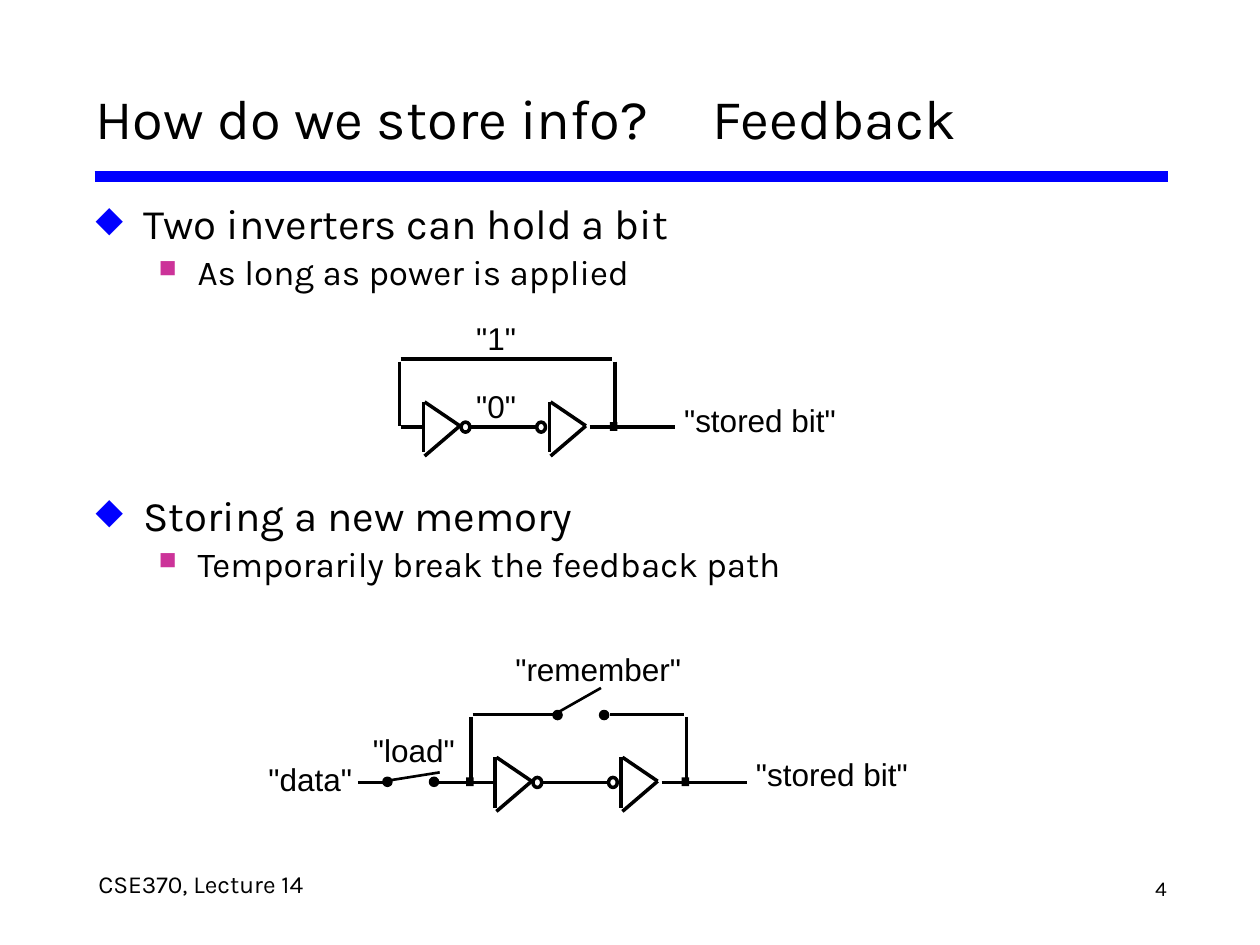
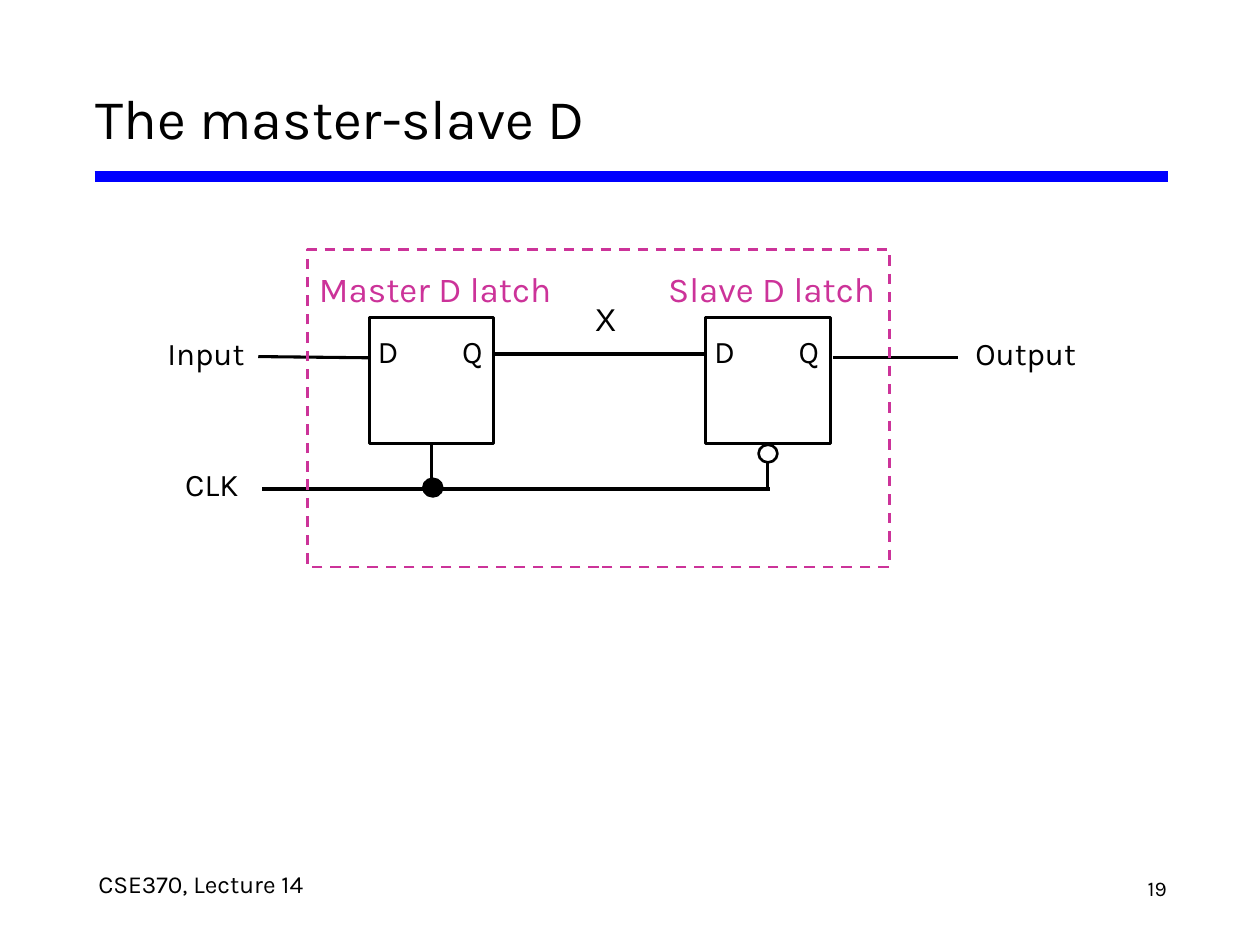
from lxml import etree
from pptx import Presentation
from pptx.dml.color import RGBColor
from pptx.enum.dml import MSO_LINE
from pptx.enum.shapes import MSO_CONNECTOR, MSO_SHAPE
from pptx.enum.text import MSO_ANCHOR, PP_ALIGN
from pptx.oxml.ns import qn
from pptx.util import Inches, Pt

# Content
COLORS = {"ink": "000000", "paper": "FFFFFF", "band": "0000FF", "accent": "CC3399"}
FOOTER = "CSE370, Lecture 14"
STORE_TITLE, STORE_NUMBER = "How do we store info?\tFeedback", "4"
LATCH_TITLE, LATCH_NUMBER = "The master-slave D", "19"

# level, text, space before (pt); the large gap leaves room for the first circuit
POINTS = [
    (0, "Two inverters can hold a bit", 0),
    (1, "As long as power is applied", 0),
    (0, "Storing a new memory", 113),
    (1, "Temporarily break the feedback path", 0),
]
LEVELS = [
    {"size": 24, "margin": 0.38, "hang": 0.38, "char": "◆", "color": "band",
     "scale": 85, "spacing": 1.0},
    {"size": 20, "margin": 0.81, "hang": 0.31, "char": "■", "color": "accent",
     "scale": 70, "spacing": 1.05},
]

# Circuit origins: where the feedback loop leaves the input wire
HOLD_ORIGIN, SWITCHED_ORIGIN = (3.17, 3.39), (3.74, 6.21)
INVERTERS = [(0.19, 0.49), (1.19, 1.09)]  # bar x, bubble x
LOOP_TOP, LOOP_RIGHT = -0.54, 1.71
SHARED_WIRES = [
    (0.01, 0, 0.18, 0), (0.55, 0, 1.08, 0), (1.51, 0, 1.69, 0), (1.72, 0, 2.19, 0),
    (0, LOOP_TOP + 0.02, 0, -0.01), (LOOP_RIGHT, LOOP_TOP + 0.02, LOOP_RIGHT, -0.01),
]
HOLD_WIRES = [(0.01, LOOP_TOP, 1.69, LOOP_TOP)]
SWITCHED_WIRES = [
    (0.01, LOOP_TOP, 0.68, LOOP_TOP), (1.1, LOOP_TOP, 1.69, LOOP_TOP),
    (-0.9, 0, -0.67, 0), (-0.26, 0, -0.01, 0),
]
# contact x, contact y, lever rise, lever reach
SWITCHES = [(-0.7, -0.04, 0.07, 0.44), (0.65, LOOP_TOP - 0.03, 0.21, 0.37)]
SIGNALS = [  # text, left, top, width
    ('"0"', 3.76, 3.05, 0.56), ('"1"', 3.76, 2.51, 0.56),
    ('"stored bit"', 5.41, 3.16, 1.96), ('"remember"', 4.07, 5.14, 1.75),
    ('"load"', 2.94, 5.78, 0.79), ('"data"', 2.11, 6.01, 0.92),
    ('"stored bit"', 5.98, 5.97, 1.96),
]

LATCHES = [("Master D latch", 2.93), ("Slave D latch", 5.6)]
LATCH_TOP, LATCH_WIDTH, LATCH_HEIGHT = 2.52, 0.99, 1
PINS = [("D", 0.06, 0.18), ("Q", 0.72, 0.2)]
CLOCK_Y = 3.88
LATCH_WIRES = [  # x1, y1, x2, y2, width
    (2.05, 2.83, 2.94, 2.84, 1.75), (6.61, 2.84, 7.6, 2.84, 1.75),
    (3.91, 2.81, 5.6, 2.81, 2.25), (2.08, CLOCK_Y, 6.11, CLOCK_Y, 2.25),
]
PORTS = [  # text, box, format
    ("CLK", (1.45, 3.74, 0.78, 0.41), {"line_spacing": Pt(16)}),
    ("Input", (1.28, 2.69, 0.68, 0.29), {"alignment": PP_ALIGN.RIGHT}),
    ("Output", (7.68, 2.69, 0.88, 0.29), {"alignment": PP_ALIGN.RIGHT}),
    ("X", (4.7, 2.42, 0.21, 0.29), {"alignment": PP_ALIGN.RIGHT, "font": "Arial"}),
]


# Helpers
def rgb(color):
    return RGBColor.from_string(COLORS[color])


def apply(target, values):
    for key, value in values.items():
        setattr(target, key, value)


def add_frame(slide, box, inset=(0.02, 0.03), wrap=False):
    frame = slide.shapes.add_textbox(*map(Inches, box)).text_frame
    side, end = map(Inches, inset)
    apply(frame, {"margin_left": side, "margin_right": side, "margin_top": end,
                  "margin_bottom": end, "word_wrap": wrap})
    return frame


def write(paragraph, text, size, color="ink", font="Karla", **layout):
    paragraph.text = text
    apply(paragraph, layout)
    apply(paragraph.font, {"size": Pt(size), "name": font})
    paragraph.font.color.rgb = rgb(color)


def add_label(slide, text, box, size=18, inset=(0.02, 0.03), wrap=False, **style):
    frame = add_frame(slide, box, inset, wrap)
    write(frame.paragraphs[0], text, size, **style)
    return frame


def add_line(slide, x1, y1, x2, y2, width=2, color="ink"):
    line = slide.shapes.add_connector(MSO_CONNECTOR.STRAIGHT,
                                      *map(Inches, (x1, y1, x2, y2)))
    line.line.width = Pt(width)
    line.line.color.rgb = rgb(color)
    etree.SubElement(line._element.spPr, qn("a:effectLst"))
    return line


def add_figure(slide, kind, box, fill=None, width=None, color="ink"):
    figure = slide.shapes.add_shape(kind, *map(Inches, box))
    figure.shadow.inherit = False
    if fill:
        figure.fill.solid()
        figure.fill.fore_color.rgb = rgb(fill)
    else:
        figure.fill.background()
    if width:
        figure.line.width = Pt(width)
        figure.line.color.rgb = rgb(color)
    else:
        figure.line.fill.background()
    return figure


def add_bullet(paragraph, level):
    properties = paragraph._p.get_or_add_pPr()
    properties.set("marL", str(Inches(level["margin"])))
    properties.set("indent", str(-Inches(level["hang"])))
    color = etree.SubElement(properties, qn("a:buClr"))
    etree.SubElement(color, qn("a:srgbClr"), val=COLORS[level["color"]])
    etree.SubElement(properties, qn("a:buSzPct"), val=str(level["scale"] * 1000))
    etree.SubElement(properties, qn("a:buChar"), char=level["char"])


def add_tab(paragraph, position):
    tabs = etree.SubElement(paragraph._p.get_or_add_pPr(), qn("a:tabLst"))
    etree.SubElement(tabs, qn("a:tab"), pos=str(Inches(position)), algn="l")


# Title, band and footer shared by the slides
def start_slide(deck, title, number):
    slide = deck.slides.add_slide(deck.slide_layouts[6])
    add_line(slide, 0.75, 1.4, 9.27, 1.4, 6, "band")
    add_label(slide, number, (8.89, 6.9, 0.39, 0.36), 12,
              alignment=PP_ALIGN.RIGHT, line_spacing=Pt(16))
    add_label(slide, FOOTER, (0.76, 6.88, 3.71, 0.37), 14, line_spacing=Pt(16))
    heading = add_frame(slide, (0.66, 0.52, 8.68, 0.82), (0.1, 0.05), True)
    heading.vertical_anchor = MSO_ANCHOR.MIDDLE
    if "\t" in title:
        add_tab(heading.paragraphs[0], 4.9)
    write(heading.paragraphs[0], title, 32)
    return slide


# Two inverters in a feedback loop
def draw_circuit(slide, origin, wires, junctions):
    x0, y0 = origin
    for bar, bubble in INVERTERS:
        strokes = [(bar, -0.2, bar, 0.2), (bar + 0.01, -0.2, bar + 0.29, -0.01),
                   (bar + 0.01, 0.23, bar + 0.29, -0.01)]
        for x1, y1, x2, y2 in strokes:
            add_line(slide, x0 + x1, y0 + y1, x0 + x2, y0 + y2)
        add_figure(slide, MSO_SHAPE.OVAL, (x0 + bubble, y0 - 0.04, 0.07, 0.08), width=2)
    for x1, y1, x2, y2 in SHARED_WIRES + wires:
        add_line(slide, x0 + x1, y0 + y1, x0 + x2, y0 + y2)
    for x in junctions:
        add_figure(slide, MSO_SHAPE.RECTANGLE,
                   (x0 + x - 0.04, y0 - 0.04, 0.06, 0.07), "ink")


def draw_switch(slide, origin, switch):
    x, y, rise, reach = switch
    left, top = origin[0] + x, origin[1] + y
    add_line(slide, left + 0.01, top + 0.03, left + 0.01 + reach, top + 0.03 - rise, 1.5)
    for contact in (left, left + 0.37):
        add_figure(slide, MSO_SHAPE.OVAL, (contact, top, 0.07, 0.07), "ink", 1)


def build_store_slide(deck):
    slide = start_slide(deck, STORE_TITLE, STORE_NUMBER)
    body = add_frame(slide, (0.66, 1.52, 8.68, 5.29), (0.1, 0.05), True)
    for i, (depth, text, gap) in enumerate(POINTS):
        paragraph = body.add_paragraph() if i else body.paragraphs[0]
        level = LEVELS[depth]
        add_bullet(paragraph, level)
        write(paragraph, text, level["size"], level=depth,
              space_before=Pt(gap), line_spacing=level["spacing"])
    draw_circuit(slide, HOLD_ORIGIN, HOLD_WIRES, [LOOP_RIGHT])
    draw_circuit(slide, SWITCHED_ORIGIN, SWITCHED_WIRES, [0, LOOP_RIGHT])
    for switch in SWITCHES:
        draw_switch(slide, SWITCHED_ORIGIN, switch)
    for text, left, top, width in SIGNALS:
        add_label(slide, text, (left, top, width, 0.46), font="Arial", line_spacing=Pt(21))


def build_latch_slide(deck):
    slide = start_slide(deck, LATCH_TITLE, LATCH_NUMBER)
    # Latches with pins and clock stubs
    for name, left in LATCHES:
        latch = add_figure(slide, MSO_SHAPE.RECTANGLE,
                           (left, LATCH_TOP, LATCH_WIDTH, LATCH_HEIGHT), "paper", 1.75)
        for pin, offset, width in PINS:
            add_label(slide, pin, (left + offset, 2.74, width, 0.19), inset=(0, 0),
                      alignment=PP_ALIGN.CENTER, line_spacing=Pt(14))
        middle = left + LATCH_WIDTH / 2
        stub = add_line(slide, middle, LATCH_TOP + LATCH_HEIGHT, middle, CLOCK_Y, 1.75)
        stub.begin_connect(latch, 2)
        add_label(slide, name, (left - 0.87, 2.08, 2.79, 0.41), 20, wrap=True,
                  color="accent", alignment=PP_ALIGN.CENTER, line_spacing=1.05)
    # Wires, clock inverter bubble and clock junction
    for wire in LATCH_WIRES:
        add_line(slide, *wire)
    for fill, left, top in (("paper", 6.02, 3.53), ("ink", 3.36, 3.8)):
        add_figure(slide, MSO_SHAPE.OVAL, (left, top, 0.15, 0.14), fill, 1.5)
    # Flip-flop outline and ports
    outline = add_figure(slide, MSO_SHAPE.RECTANGLE, (2.44, 1.98, 4.62, 2.52),
                         width=1.5, color="accent")
    outline.line.dash_style = MSO_LINE.DASH
    for text, box, style in PORTS:
        add_label(slide, text, box, **{"line_spacing": Pt(16.7), **style})


def main():
    deck = Presentation()
    apply(deck, {"slide_width": Inches(10), "slide_height": Inches(7.5)})
    build_store_slide(deck)
    build_latch_slide(deck)
    deck.save("out.pptx")


if __name__ == "__main__":
    main()
